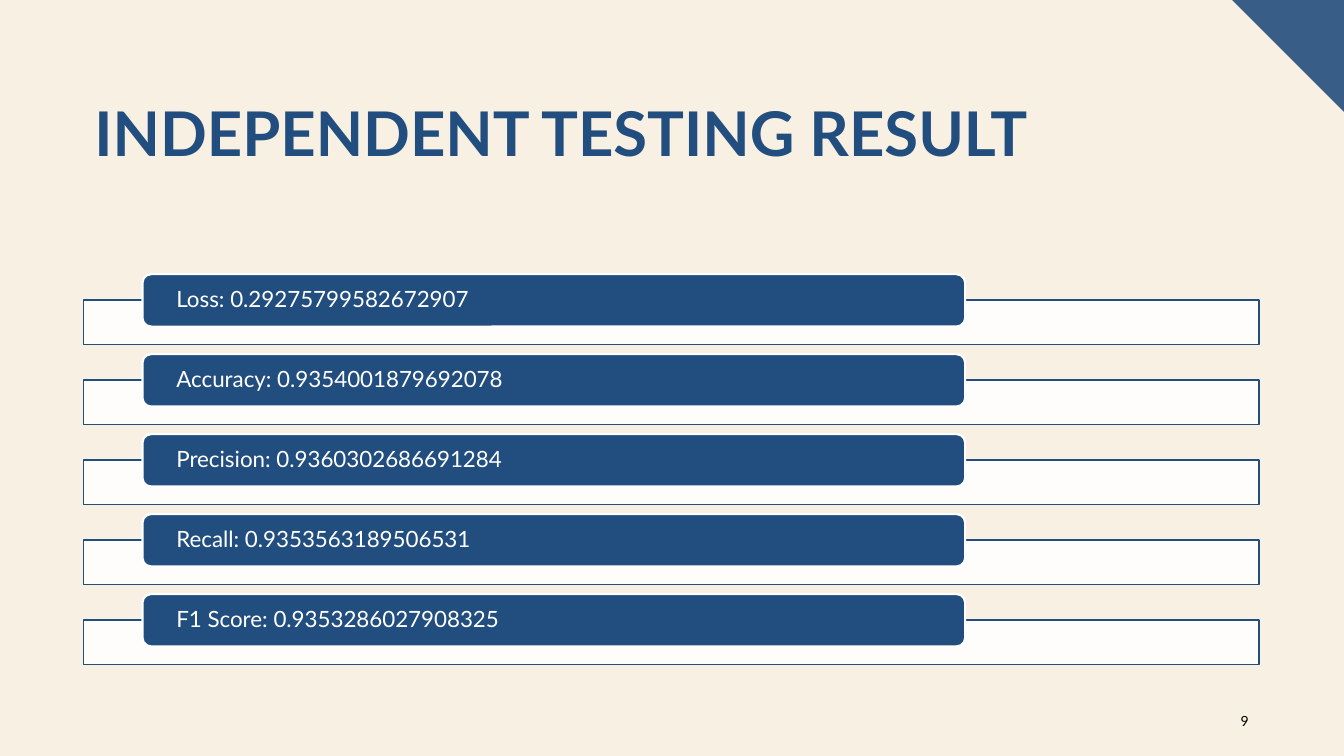
from dataclasses import dataclass

import pptx
import pptx.dml.color
import pptx.enum.shapes
import pptx.enum.text
import pptx.oxml
import pptx.oxml.ns
import pptx.util

Cm = pptx.util.Cm
Pt = pptx.util.Pt
Shapes = pptx.enum.shapes.MSO_SHAPE
Anchor = pptx.enum.text.MSO_ANCHOR
Align = pptx.enum.text.PP_ALIGN


@dataclass(frozen=True)
class Theme:
    font: str = "Lato"
    background: str = "F8F0E3"
    primary: str = "224E7F"
    corner: str = "385E88"
    white: str = "FFFFFF"
    black: str = "000000"
    title_size: int = 44
    metric_size: int = 16
    number_size: int = 10
    bar_opacity: int = 90


@dataclass(frozen=True)
class Box:
    left: float
    top: float
    width: float
    height: float

    def lengths(self):
        return Cm(self.left), Cm(self.top), Cm(self.width), Cm(self.height)


THEME = Theme()
SLIDE = Box(0, 0, 33.87, 19.05)
METRICS = [
    "Loss: 0.29275799582672907",
    "Accuracy: 0.9354001879692078",
    "Precision: 0.9360302686691284",
    "Recall: 0.9353563189506531",
    "F1 Score: 0.9353286027908325",
]


def color(value):
    return pptx.dml.color.RGBColor.from_string(value)


def paint(shape, fill, line=None, width=1):
    shape.shadow.inherit = False
    shape.fill.solid()
    shape.fill.fore_color.rgb = color(fill)
    if line:
        shape.line.color.rgb = color(line)
        shape.line.width = Pt(width)
    else:
        shape.line.fill.background()


def set_opacity(shape, percent):
    fill_color = shape.fill._xPr.find(".//" + pptx.oxml.ns.qn("a:srgbClr"))
    alpha = pptx.oxml.parse_xml(f'<a:alpha {pptx.oxml.ns.nsdecls("a")} val="{percent * 1000}"/>')
    fill_color.append(alpha)


def write(shape, text, size, text_color, bold=False, align=Align.LEFT,
          anchor=Anchor.MIDDLE, spacing=1.0):
    frame = shape.text_frame
    frame.word_wrap = True
    frame.vertical_anchor = anchor
    paragraph = frame.paragraphs[0]
    paragraph.text = text
    paragraph.alignment = align
    paragraph.line_spacing = spacing
    paragraph.font.name = THEME.font
    paragraph.font.size = Pt(size)
    paragraph.font.bold = bold
    paragraph.font.color.rgb = color(text_color)


def add_corner(slide, box):
    right, bottom = box.left + box.width, box.top + box.height
    builder = slide.shapes.build_freeform(Cm(box.left), Cm(box.top))
    builder.add_line_segments([(Cm(right), Cm(box.top)), (Cm(right), Cm(bottom))], close=True)
    paint(builder.convert_to_shape(), THEME.corner)


def add_title(slide, box, text):
    title = slide.shapes.add_textbox(*box.lengths())
    write(title, text, THEME.title_size, THEME.primary, bold=True,
          anchor=Anchor.TOP, spacing=0.9)


def add_page_number(slide, box, number):
    page_number = slide.shapes.add_textbox(*box.lengths())
    write(page_number, str(number), THEME.number_size, THEME.black, align=Align.RIGHT)


def add_metric(slide, box, text):
    bar_height, pill_height = 1.12, 1.32
    bar_box = Box(box.left, box.top + box.height - bar_height, box.width, bar_height)
    bar = slide.shapes.add_shape(Shapes.RECTANGLE, *bar_box.lengths())
    paint(bar, THEME.white, THEME.primary)
    set_opacity(bar, THEME.bar_opacity)

    pill_box = Box(box.left + box.width * 0.05, box.top, box.width * 0.7, pill_height)
    pill = slide.shapes.add_shape(Shapes.ROUNDED_RECTANGLE, *pill_box.lengths())
    paint(pill, THEME.primary, THEME.white, 1.5)
    frame = pill.text_frame
    frame.margin_left = frame.margin_right = Cm(0.79)
    frame.margin_top = frame.margin_bottom = 0
    write(pill, text, THEME.metric_size, THEME.white, spacing=0.9)


def add_metric_list(slide, box, metrics):
    row_height = 1.77
    pitch = (box.height - row_height) / (len(metrics) - 1)
    for index, metric in enumerate(metrics):
        add_metric(slide, Box(box.left, box.top + index * pitch, box.width, row_height), metric)


def add_result_slide(presentation, box):
    slide = presentation.slides.add_slide(presentation.slide_layouts[6])
    slide.background.fill.solid()
    slide.background.fill.fore_color.rgb = color(THEME.background)
    corner_size = 2.82
    add_corner(slide, Box(box.width - corner_size, box.top, corner_size, corner_size))
    add_title(slide, Box(2.13, 2.49, 29.62, 3.68), "INDEPENDENT TESTING RESULT")
    add_page_number(slide, Box(30.45, 17.65, 1.27, 1.02), 9)
    add_metric_list(slide, Box(2.11, 6.91, 29.62, 9.83), METRICS)


def main():
    presentation = pptx.Presentation()
    presentation.slide_width = Cm(SLIDE.width)
    presentation.slide_height = Cm(SLIDE.height)
    add_result_slide(presentation, SLIDE)
    presentation.save("out.pptx")


if __name__ == "__main__":
    main()
